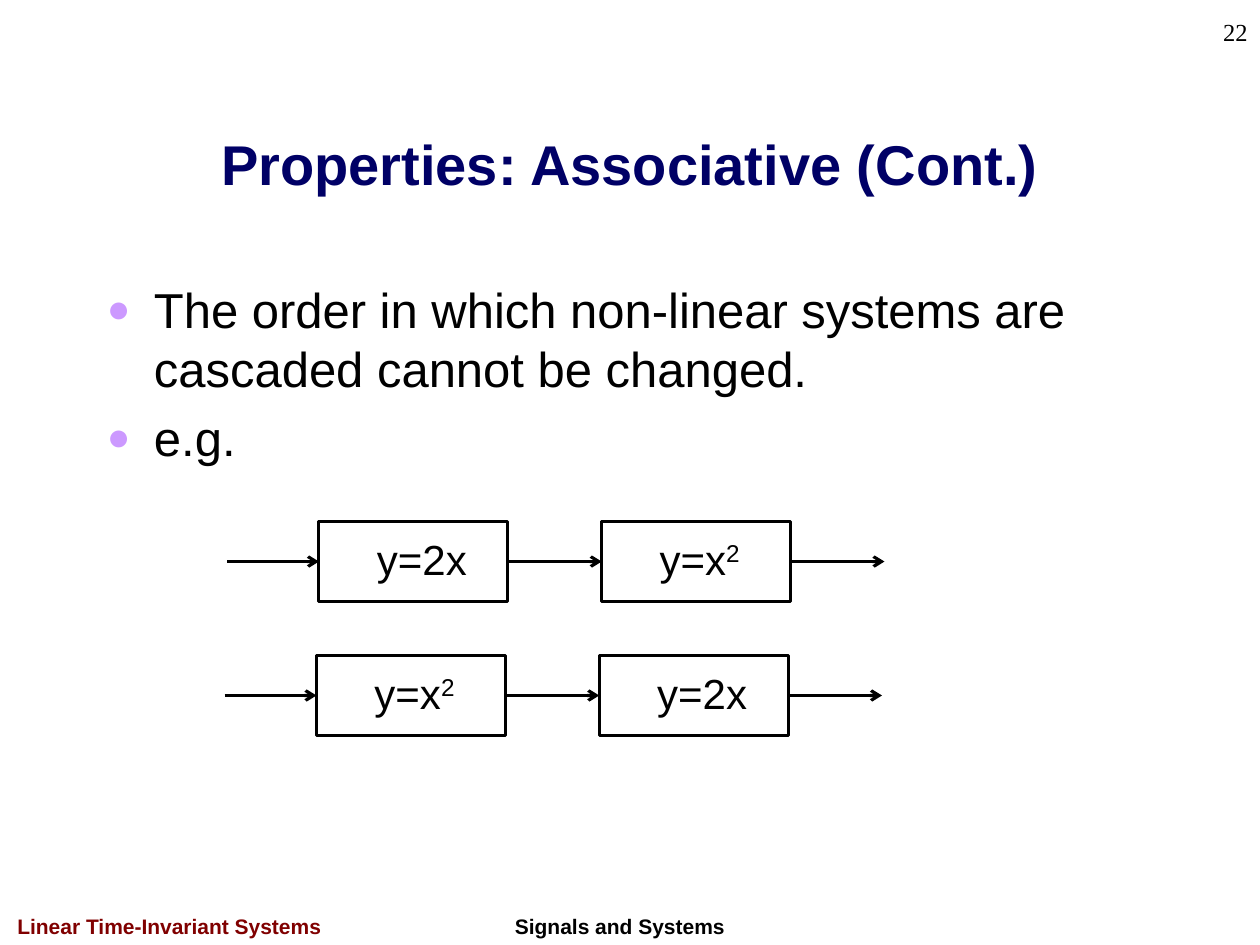
"""Build the slide on the order of cascaded non-linear systems."""
from lxml.etree import SubElement
from pptx import Presentation
from pptx.dml.color import RGBColor as Color
from pptx.enum.shapes import MSO_CONNECTOR as Connector, MSO_SHAPE as Shape
from pptx.enum.text import MSO_ANCHOR as Anchor, MSO_AUTO_SIZE as AutoSize, PP_ALIGN as Align
from pptx.oxml.ns import qn
from pptx.util import Cm, Pt

COLORS = {"ink": "000000", "title": "000066", "bullet": "CC99FF",
          "chapter": "800000", "paper": "FFFFFF"}


def add_span(para, text, size, color="ink", bold=False, font="Arial"):
    span = para.add_run()
    span.text = text
    span.font.name = font
    span.font.size = Pt(size)
    span.font.bold = bold
    span.font.color.rgb = Color.from_string(COLORS[color])
    return span


def place(box, left, top, width, height):
    box.left, box.top, box.width, box.height = Cm(left), Cm(top), Cm(width), Cm(height)


deck = Presentation()
deck.slide_width, deck.slide_height = Cm(25.4), Cm(19.05)
page = deck.slides.add_slide(deck.slide_layouts[1])
page.background.fill.solid()
page.background.fill.fore_color.rgb = Color.from_string(COLORS["paper"])

title = page.shapes.title
place(title, 1.9, 1.7, 21.6, 3.18)
title.text_frame.auto_size = AutoSize.NONE
title.text_frame.vertical_anchor = Anchor.MIDDLE
para = title.text_frame.paragraphs[0]
para.alignment = Align.CENTER
add_span(para, "Properties: Associative (Cont.)", 32, "title", True)

body = page.placeholders[1]
place(body, 1.9, 5.51, 21.6, 11.18)
body.text_frame.auto_size = AutoSize.NONE
points = ["The order in which non-linear systems are cascaded cannot be changed.", "e.g."]
for index, point in enumerate(points):
    para = body.text_frame.add_paragraph() if index else body.text_frame.paragraphs[0]
    para.space_before = Pt(5.6)
    add_span(para, point, 28)
    props = para._p.get_or_add_pPr()
    props.set("marL", str(Cm(0.95)))
    props.set("indent", str(Cm(-0.95)))
    SubElement(SubElement(props, qn("a:buClr")), qn("a:srgbClr"), val=COLORS["bullet"])
    SubElement(props, qn("a:buSzPct"), val="80000")
    SubElement(props, qn("a:buFont"), typeface="Arial")
    SubElement(props, qn("a:buChar"), char="●")

labels = [
    ("22", 20.12, 0, 5.28, 1.27, Align.RIGHT, 14, "ink", False, "Times New Roman"),
    ("Linear Time-Invariant Systems", 0.1, 18.29, 8, 0.76, Align.LEFT, 12, "chapter", True, "Arial"),
    ("Signals and Systems", 10.13, 18.29, 4.8, 0.76, Align.LEFT, 12, "ink", True, "Arial"),
]
for text, left, top, width, height, align, size, color, bold, font in labels:
    box = page.shapes.add_textbox(Cm(left), Cm(top), Cm(width), Cm(height))
    box.text_frame.word_wrap = True
    box.text_frame.vertical_anchor = Anchor.MIDDLE
    para = box.text_frame.paragraphs[0]
    para.alignment = align
    add_span(para, text, size, color, bold, font)

BOX_WIDTH, BOX_HEIGHT, BOX_STEP, ARROW = 3.81, 1.6, 5.7, 1.85
DOUBLE, SQUARE = ("y=2x", ""), ("y=x", "2")
cascades = [(6.43, 10.52, (DOUBLE, SQUARE)), (6.38, 13.22, (SQUARE, DOUBLE))]
for left, top, systems in cascades:
    boxes = []
    for index, (formula, power) in enumerate(systems):
        box = page.shapes.add_shape(Shape.RECTANGLE, Cm(left + index * BOX_STEP), Cm(top),
                                    Cm(BOX_WIDTH), Cm(BOX_HEIGHT))
        box.shadow.inherit = False
        box.fill.background()
        box.line.color.rgb = Color.from_string(COLORS["ink"])
        box.line.width = Pt(1.75)
        frame = box.text_frame
        frame.word_wrap = False
        frame.vertical_anchor = Anchor.TOP
        frame.margin_left, frame.margin_top = Cm(1.17), Cm(0.23)
        para = frame.paragraphs[0]
        para.alignment = Align.LEFT
        add_span(para, formula, 24)
        if power:
            add_span(para, power, 24).font._element.set("baseline", "30000")
        boxes.append(box)

    middle = top + BOX_HEIGHT / 2
    first, second = boxes
    for index, (source, target) in enumerate([(None, first), (first, second), (second, None)]):
        start = left - ARROW + index * BOX_STEP
        arrow = page.shapes.add_connector(Connector.STRAIGHT, Cm(start), Cm(middle),
                                          Cm(start + ARROW), Cm(middle))
        if source:
            arrow.begin_connect(source, 3)
        if target:
            arrow.end_connect(target, 1)
        arrow.line.color.rgb = Color.from_string(COLORS["ink"])
        arrow.line.width = Pt(1.75)
        SubElement(arrow.line._get_or_add_ln(), qn("a:tailEnd"), type="arrow")
        SubElement(arrow._element.spPr, qn("a:effectLst"))

deck.save("out.pptx")
